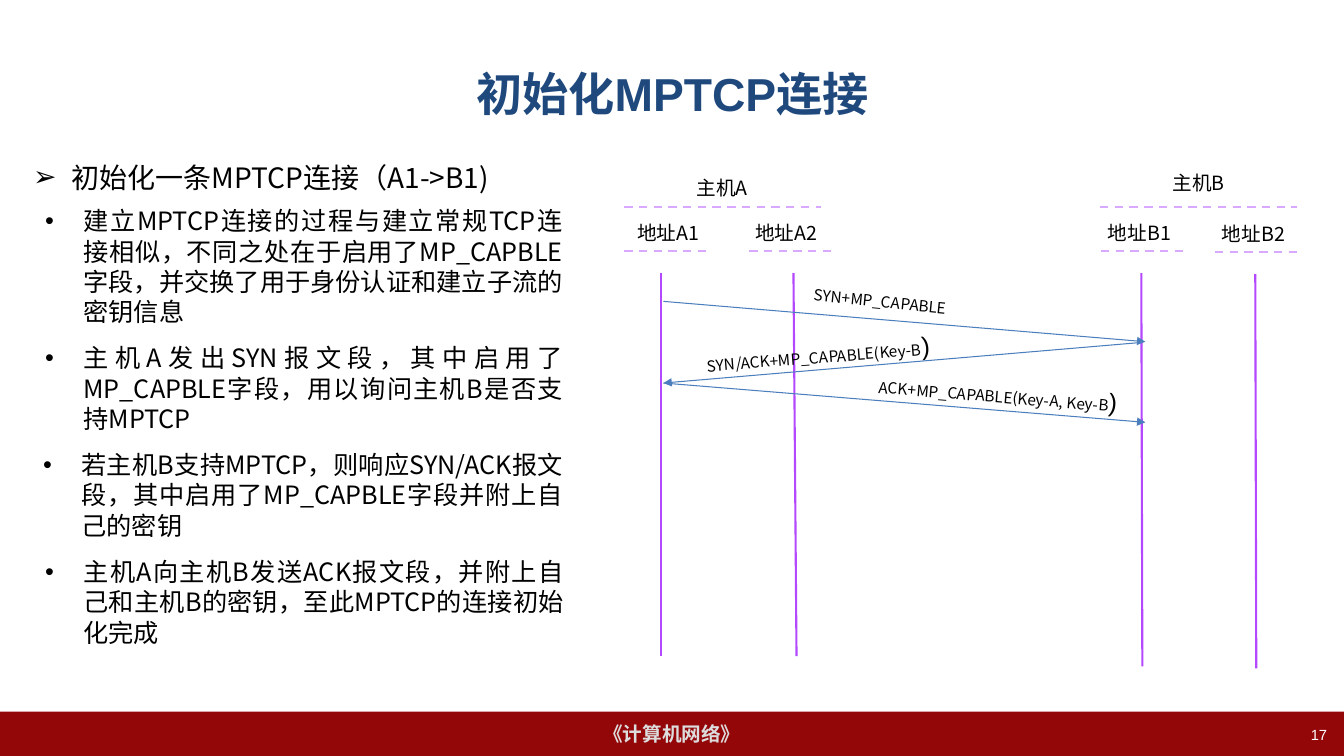
from dataclasses import dataclass

from lxml import etree
from pptx import Presentation
from pptx.dml.color import RGBColor
from pptx.enum.dml import MSO_LINE
from pptx.enum.shapes import MSO_CONNECTOR, MSO_SHAPE
from pptx.enum.text import MSO_ANCHOR, PP_ALIGN
from pptx.oxml.ns import qn
from pptx.util import Pt

LEFT, MID, RIGHT, BOTH = PP_ALIGN.LEFT, PP_ALIGN.CENTER, PP_ALIGN.RIGHT, PP_ALIGN.JUSTIFY
TOP, CENTER = MSO_ANCHOR.TOP, MSO_ANCHOR.MIDDLE
DASH = MSO_LINE.DASH
STRAIGHT = MSO_CONNECTOR.STRAIGHT
RECT = MSO_SHAPE.RECTANGLE
SCALE = 9144


@dataclass(frozen=True)
class Theme:
    sans: str = "Arial"
    han: str = "Noto Sans CJK SC"
    ink: str = "000000"
    navy: str = "1F497D"
    red: str = "940709"
    pale: str = "DDDDDD"
    white: str = "FFFFFF"
    life: str = "B348FF"
    rule: str = "D9A9FF"
    arrow: str = "4B7EBC"
    title: float = 33
    head: float = 20
    body: float = 18
    label: float = 14
    note: float = 11
    page: float = 10.5
    thick: float = 1.5
    thin: float = 0.75
    pitch: float = 1.2


T = Theme()

POINTS = [
    (35, 199, 533, 131, "建立MPTCP连接的过程与建立常规TCP连接相似，不同之处在于启用了MP_CAPBLE字段，并交换了用于身份认证和建立子流的密钥信息"),
    (35, 335, 533, 101, "主机A发出SYN报文段，其中启用了MP_CAPBLE字段，用以询问主机B是否支持MPTCP"),
    (33, 441, 535, 101, "若主机B支持MPTCP，则响应SYN/ACK报文段，其中启用了MP_CAPBLE字段并附上自己的密钥"),
    (35, 547, 534, 101, "主机A向主机B发送ACK报文段，并附上自己和主机B的密钥，至此MPTCP的连接初始化完成"),
]
HOSTS = [("主机A", 681, 170, 619), ("主机B", 1153, 165, 1091)]
PORTS = [
    ("地址A1", 622, 214, 619, (656, 271, 656, 651)),
    ("地址A2", 739, 214, 743, (787, 271, 790, 651)),
    ("地址B1", 1089, 214, 1092, (1132, 271, 1133, 661)),
    ("地址B2", 1202, 215, 1205, (1245, 272, 1246, 663)),
]
STEPS = [
    ((658, 299, 1136, 339), (797, 288, 216, 29), 5.6, "SYN+MP_CAPABLE", ""),
    ((1129, 340, 658, 380), (691, 329, 279, 40), 355.5, "SYN/ACK+MP_CAPABLE(Key-B", ")"),
    ((658, 380, 1136, 419), (862, 371, 289, 40), 4.6, "ACK+MP_CAPABLE(Key-A, Key-B", ")"),
]


def px(*vals):
    return [v * SCALE for v in vals]


def color(code):
    return RGBColor.from_string(code)


def style(para, size, face, ink, bold=False):
    font = para.font
    font.size, font.bold, font.name = Pt(size), bold, face
    font.color.rgb = color(ink)
    if face == T.han:
        node = para._p.pPr.find(qn("a:defRPr"))
        etree.SubElement(node, qn("a:ea"), typeface=face)


def bullet(para, mark):
    props = para._p.get_or_add_pPr()
    props.set("marL", str(38 * SCALE))
    props.set("indent", str(-38 * SCALE))
    etree.SubElement(props, qn("a:buFont"), typeface=T.sans)
    etree.SubElement(props, qn("a:buChar"), char=mark)


def text(slide, box, words, size, face=T.han, ink=T.ink, align=LEFT,
         anchor=TOP, bold=False, pitch=None, mark=None):
    shape = slide.shapes.add_textbox(*px(*box))
    frame = shape.text_frame
    frame.word_wrap = True
    frame.vertical_anchor = anchor
    para = frame.paragraphs[0]
    para.add_run().text = words
    para.alignment = align
    if mark:
        bullet(para, mark)
    if pitch:
        para.line_spacing = Pt(pitch)
    style(para, size, face, ink, bold)
    return shape


def label(slide, x, y, words):
    text(slide, (x, y, 150, 34), words, T.label, pitch=T.label * T.pitch)


def point(slide, box, words, size, mark):
    text(slide, box, words, size, align=BOTH, pitch=size * T.pitch, mark=mark)


def line(slide, ends, ink, width, dash=None, arrow=False):
    link = slide.shapes.add_connector(STRAIGHT, *px(*ends))
    link.line.color.rgb = color(ink)
    link.line.width = Pt(width)
    if dash:
        link.line.dash_style = dash
    if arrow:
        etree.SubElement(link.line._get_or_add_ln(), qn("a:tailEnd"), type="triangle")
    etree.SubElement(link._element.spPr, qn("a:effectLst"))


def rule(slide, x, y, width):
    line(slide, (x, y, x + width, y), T.rule, T.thick, dash=DASH)


def step(slide, ends, box, turn, words, close):
    line(slide, ends, T.arrow, T.thin, arrow=True)
    size = T.body if close else T.note
    shape = text(slide, box, words, T.note, pitch=size * T.pitch)
    shape.rotation = turn
    if close:
        run = shape.text_frame.paragraphs[0].add_run()
        run.text = close
        run.font.size, run.font.name = Pt(size), T.sans


def footer(slide):
    bar = slide.shapes.add_shape(RECT, *px(0, 706, 1333, 44))
    bar.shadow.inherit = False
    bar.fill.solid()
    bar.fill.fore_color.rgb = color(T.red)
    bar.line.fill.background()
    text(slide, (0, 706, 1333, 44), "《计算机网络》", T.label, T.sans, T.pale,
         MID, CENTER, bold=True)
    text(slide, (1015, 715, 311, 35), "17", T.page, T.sans, T.white, RIGHT)


def main():
    deck = Presentation()
    deck.slide_width, deck.slide_height = px(1333, 750)
    slide = deck.slides.add_slide(deck.slide_layouts[6])
    footer(slide)
    text(slide, (67, 30, 1200, 125), "初始化MPTCP连接", T.title, T.sans, T.navy,
         MID, CENTER, bold=True)
    point(slide, (23, 154, 559, 44), "初始化一条MPTCP连接（A1->B1)", T.head, "➢")
    for *box, words in POINTS:
        point(slide, box, words, T.body, "•")
    for name, x, y, start in HOSTS:
        label(slide, x, y, name)
        rule(slide, start, 205, 195)
    for name, x, y, start, ends in PORTS:
        label(slide, x, y, name)
        rule(slide, start, y + 35, 81)
        line(slide, ends, T.life, T.thick)
    for item in STEPS:
        step(slide, *item)
    deck.save("out.pptx")


if __name__ == "__main__":
    main()
